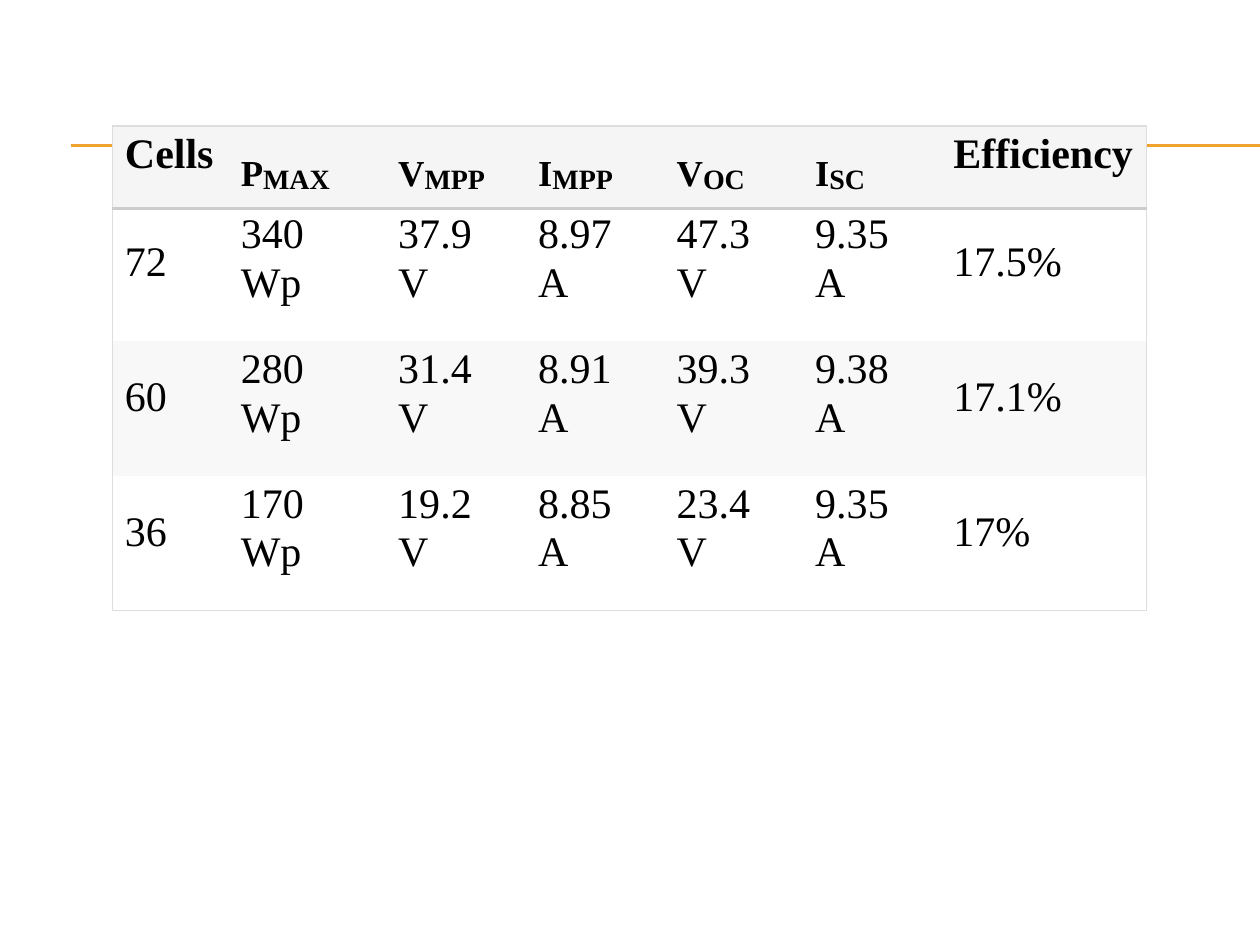
import dataclasses

import pptx
import pptx.dml.color
import pptx.enum.shapes
import pptx.oxml
import pptx.oxml.ns
import pptx.util

Pt = pptx.util.Pt


@dataclasses.dataclass(frozen=True)
class Theme:
    font: str = "Times New Roman"
    text: str = "000000"
    accent: str = "F0A22E"
    header_fill: str = "F5F5F5"
    band_fill: str = "F8F8F8"
    frame: str = "DDDDDD"
    header_rule: str = "CCCCCC"
    body_size: float = 24
    symbol_size: float = 36
    subscript_size: float = 16
    thin: float = 0.75
    thick: float = 2.21
    line_spacing: float = 0.93


THEME = Theme()

COLUMN_WIDTHS = [65.5, 78.5, 85, 75.5, 78.5, 79, 129]
INDENTS = [7.2, 7.9, 19.4, 14.4, 18, 18.7, 18.7]
ROW_HEIGHTS = [47, 76, 77, 77]
HEADERS = ["Cells", ("P", "MAX"), ("V", "MPP"), ("I", "MPP"),
           ("V", "OC"), ("I", "SC"), "Efficiency"]
UNITS = ["Wp", "V", "A", "V", "A"]
MODULES = [
    ["72", "340", "37.9", "8.97", "47.3", "9.35", "17.5%"],
    ["60", "280", "31.4", "8.91", "39.3", "9.38", "17.1%"],
    ["36", "170", "19.2", "8.85", "23.4", "9.35", "17%"],
]
# Space above a single value, above a quantity, and above its unit, by row
BODY_SPACING = [(19.4, 3.5, 2.9), (20.6, 4.6, 3.1), (20.4, 4.6, 2.9)]
HEADER_SPACING = 4.6
SYMBOL_SPACING = 6.6


def rgb(color):
    return pptx.dml.color.RGBColor.from_string(color)


def add_text(paragraph, text, *, size=THEME.body_size, bold=False, raised=None):
    """Add a run; raised is its baseline shift in percent."""
    run = paragraph.add_run()
    run.text = text
    font = run.font
    font.name, font.size, font.bold = THEME.font, Pt(size), bold
    font.color.rgb = rgb(THEME.text)
    if raised is not None:
        run._r.get_or_add_rPr().set("baseline", str(raised * 1000))


def format_paragraph(paragraph, indent, space_before):
    paragraph.line_spacing = THEME.line_spacing
    paragraph.space_before = Pt(space_before)
    properties = paragraph._p.get_or_add_pPr()
    properties.set("marL", str(Pt(indent)))
    properties.set("indent", "0")


def set_borders(cell, borders):
    """Draw the sides named in borders as (color, width); clear the others."""
    properties = cell._tc.get_or_add_tcPr()
    namespace = pptx.oxml.ns.nsdecls("a")
    for side in "LRTB":
        color, width = borders.get(side, (None, 0))
        paint = (f'<a:solidFill><a:srgbClr val="{color}"/></a:solidFill>'
                 if color else "<a:noFill/>")
        properties.append(pptx.oxml.parse_xml(
            f'<a:ln{side} {namespace} w="{Pt(width)}">{paint}</a:ln{side}>'))


def cell_borders(row, column):
    frame = (THEME.frame, THEME.thin)
    rule = (THEME.header_rule, THEME.thick)
    borders = {}
    if column == 0:
        borders["L"] = frame
    if column == len(COLUMN_WIDTHS) - 1:
        borders["R"] = frame
    if row < 2:
        borders["T"] = rule if row else frame
    if row == 0 or row == len(ROW_HEIGHTS) - 1:
        borders["B"] = frame if row else rule
    return borders


def format_cell(cell, row, column):
    set_borders(cell, cell_borders(row, column))
    fill = {0: THEME.header_fill, 2: THEME.band_fill}.get(row)
    if fill:
        cell.fill.solid()
        cell.fill.fore_color.rgb = rgb(fill)
    else:
        cell.fill.background()
    cell.margin_left = cell.margin_right = cell.margin_bottom = 0


def fill_header(cell, label, indent):
    paragraph = cell.text_frame.paragraphs[0]
    single = isinstance(label, str)
    spacing = HEADER_SPACING if single else SYMBOL_SPACING
    cell.margin_top = Pt(spacing)
    format_paragraph(paragraph, indent, spacing)
    if single:
        add_text(paragraph, label, bold=True)
    else:
        symbol, subscript = label
        add_text(paragraph, symbol, size=THEME.symbol_size, bold=True, raised=4)
        add_text(paragraph, subscript, size=THEME.subscript_size, bold=True, raised=0)


def fill_value(cell, value, unit, indent, spacing):
    single, quantity, unit_spacing = spacing
    top = quantity if unit else single
    cell.margin_top = Pt(top)
    paragraph = cell.text_frame.paragraphs[0]
    format_paragraph(paragraph, indent, top)
    add_text(paragraph, value)
    if unit:
        paragraph = cell.text_frame.add_paragraph()
        format_paragraph(paragraph, indent, unit_spacing)
        add_text(paragraph, unit)


def add_module_table(slide, left, top, width, height):
    shape = slide.shapes.add_table(len(ROW_HEIGHTS), len(COLUMN_WIDTHS),
                                   Pt(left), Pt(top), Pt(width), Pt(height))
    table = shape.table
    table.first_row = table.horz_banding = False
    for column, column_width in zip(table.columns, COLUMN_WIDTHS):
        column.width = Pt(column_width)
    for row, row_height in zip(table.rows, ROW_HEIGHTS):
        row.height = Pt(row_height)

    units = [None, *UNITS, None]
    for column, indent in enumerate(INDENTS):
        for row in range(len(ROW_HEIGHTS)):
            cell = table.cell(row, column)
            format_cell(cell, row, column)
            if row == 0:
                fill_header(cell, HEADERS[column], indent)
            else:
                fill_value(cell, MODULES[row - 1][column], units[column],
                           indent, BODY_SPACING[row - 1])


def add_title_rules(slide, left, top, width, height):
    """Draw one rule along the top and one along the bottom of the box."""
    for y in (top, top + height):
        line = slide.shapes.add_connector(
            pptx.enum.shapes.MSO_CONNECTOR.STRAIGHT,
            Pt(left), Pt(y), Pt(left + width), Pt(y))
        line.line.color.rgb = rgb(THEME.accent)
        line.line.width = Pt(THEME.thin)
        line._element.spPr.append(pptx.oxml.parse_xml(
            f'<a:effectLst {pptx.oxml.ns.nsdecls("a")}/>'))


def main():
    presentation = pptx.Presentation()
    presentation.slide_width, presentation.slide_height = Pt(720), Pt(540)
    slide = presentation.slides.add_slide(presentation.slide_layouts[6])
    add_title_rules(slide, 40.5, 82.8, 679.5, 0.6)
    add_module_table(slide, 64.2, 72, sum(COLUMN_WIDTHS), sum(ROW_HEIGHTS))
    presentation.save("out.pptx")


if __name__ == "__main__":
    main()
